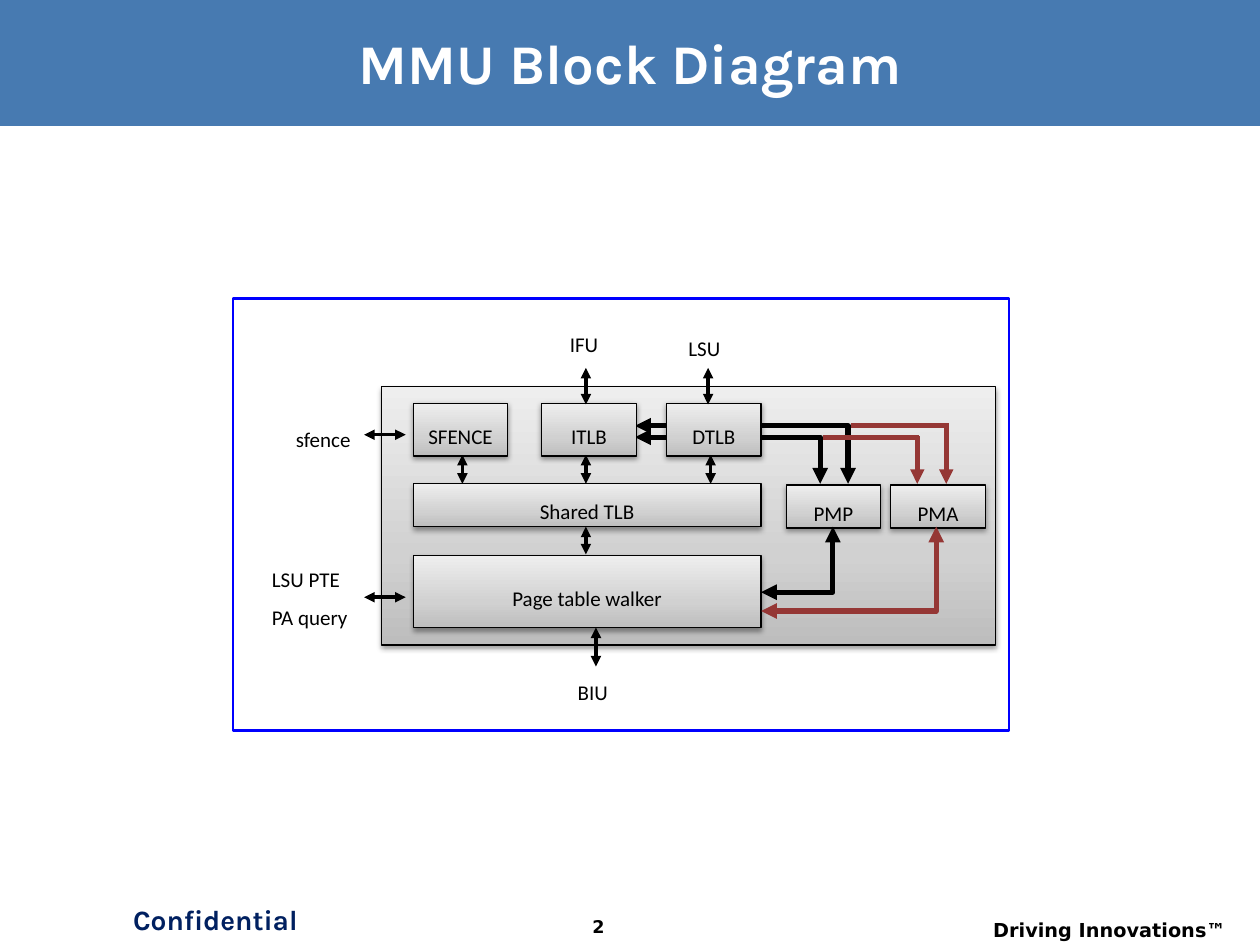
from typing import NamedTuple

import pptx
import pptx.dml.color
import pptx.enum.shapes
import pptx.enum.text
import pptx.oxml
import pptx.oxml.ns
import pptx.util

Inches, Pt = pptx.util.Inches, pptx.util.Pt
RGBColor = pptx.dml.color.RGBColor
SHAPE = pptx.enum.shapes.MSO_SHAPE
CONNECTOR = pptx.enum.shapes.MSO_CONNECTOR
ALIGN = pptx.enum.text.PP_ALIGN
ANCHOR = pptx.enum.text.MSO_ANCHOR
qn = pptx.oxml.ns.qn

BLACK = RGBColor(0x00, 0x00, 0x00)
WHITE = RGBColor(0xFF, 0xFF, 0xFF)
BANNER = RGBColor(0x47, 0x7A, 0xB1)
NAVY = RGBColor(0x00, 0x20, 0x60)
BLUE = RGBColor(0x00, 0x00, 0xFF)
RED = RGBColor(0x95, 0x37, 0x35)
GRADIENT = ((0, RGBColor(0xBD, 0xBD, 0xBD)), (35, RGBColor(0xD1, 0xD1, 0xD1)),
            (100, RGBColor(0xEE, 0xEE, 0xEE)))
NS = pptx.oxml.ns.nsdecls("a")


class Box(NamedTuple):
    text: str
    x: float
    y: float
    w: float
    h: float
    align: ALIGN = ALIGN.CENTER


class Line(NamedTuple):
    x1: float
    y1: float
    x2: float
    y2: float
    width: float = 2
    color: RGBColor = BLACK
    ends: tuple = ("headEnd", "tailEnd")
    bent: bool = False


UNIT_W, UNIT_H = 0.75, 0.42
WIDE_X, WIDE_W = 3.28, 2.76
CHECK_Y, CHECK_H = 3.85, 0.34

BLOCKS = [
    Box("SFENCE", WIDE_X, 3.2, UNIT_W, UNIT_H),
    Box("ITLB", 4.3, 3.2, UNIT_W, UNIT_H),
    Box("DTLB", 5.29, 3.2, UNIT_W, UNIT_H),
    Box("Shared TLB", WIDE_X, 3.84, WIDE_W, 0.34),
    Box("Page table walker", WIDE_X, 4.41, WIDE_W, 0.57),
    Box("PMP", 6.24, CHECK_Y, UNIT_W, CHECK_H),
    Box("PMA", 7.07, CHECK_Y, UNIT_W, CHECK_H),
]
LABELS = [
    Box("LSU", 5.23, 2.55, 0.72, 0.32),
    Box("IFU", 4.36, 2.55, 0.55, 0.27),
    Box("sfence", 2.25, 3.27, 0.7, 0.33, ALIGN.LEFT),
    Box("LSU PTE PA query", 2.06, 4.43, 0.89, 0.53, ALIGN.LEFT),
    Box("BIU", 4.36, 5.29, 0.69, 0.31),
]
# Buses that run behind the DTLB block.
TLB_BUSES = [
    Line(5.04, 3.38, 6.73, 3.84, 3, bent=True),
    Line(5.04, 3.47, 6.51, 3.84, 3, bent=True),
]
LINKS = [
    *[Line(2.89, y, 3.22, y) for y in (3.45, 4.74)],
    *[Line(x, 3.21, x, 2.92) for x in (4.65, 5.62)],
    *[Line(x, 3.84, x, 3.61) for x in (3.67, 4.65, 5.64)],
    Line(4.65, 4.4, 4.65, 4.18),
    Line(4.73, 5.29, 4.73, 4.98),
    Line(6.04, 4.7, 6.61, 4.18, 3, bent=True),
    Line(6.75, 3.38, 7.53, 3.38, 2.75, RED, ()),
    Line(6.53, 3.47, 7.29, 3.47, 2.75, RED, ()),
    *[Line(x, y, x, 3.84, 2.75, RED, ("tailEnd",)) for x, y in ((7.28, 3.46), (7.51, 3.38))],
    Line(6.04, 4.85, 7.43, 4.18, 3, RED, bent=True),
]


def shadow_effect(blur: float, dist: float, angle: int, alpha: int):
    return pptx.oxml.parse_xml(
        f'<a:effectLst {NS}><a:outerShdw blurRad="{Pt(blur)}" dist="{Pt(dist)}" '
        f'dir="{angle * 60000}" rotWithShape="0"><a:srgbClr val="{BLACK}">'
        f'<a:alpha val="{alpha * 1000}"/></a:srgbClr></a:outerShdw></a:effectLst>')


def write(tf, text: str, *, size: float = 12, font: str = "Calibri", color: RGBColor = BLACK,
          bold: bool = False, align: ALIGN = ALIGN.CENTER, anchor: ANCHOR = ANCHOR.MIDDLE,
          spacing: float = 1.0):
    tf.word_wrap = True
    tf.vertical_anchor = anchor
    p = tf.paragraphs[0]
    p.alignment = align
    p.line_spacing = spacing
    r = p.add_run()
    r.text = text
    r.font.size, r.font.name, r.font.bold = Pt(size), font, bold
    r.font.color.rgb = color
    return r


def add_text(slide, box: Box, **fmt) -> None:
    sp = slide.shapes.add_textbox(*map(Inches, box[1:5]))
    write(sp.text_frame, box.text, align=box.align, **fmt)


def add_rect(slide, x: float, y: float, w: float, h: float, *, fill=None, line=None,
             width: float = 0.75):
    sp = slide.shapes.add_shape(SHAPE.RECTANGLE, *map(Inches, (x, y, w, h)))
    sp.shadow.inherit = False
    if fill is None:
        sp.fill.background()
    else:
        sp.fill.solid()
        sp.fill.fore_color.rgb = fill
    if line is None:
        sp.line.fill.background()
    else:
        sp.line.color.rgb = line
        sp.line.width = Pt(width)
    return sp


def add_block(slide, box: Box) -> None:
    """Draw a grey gradient block with a soft shadow and an optional caption."""
    sp = add_rect(slide, *box[1:5], fill=WHITE, line=BLACK)
    spPr = sp._element.spPr
    stops = "".join(f'<a:gs pos="{pos * 1000}"><a:srgbClr val="{color}"/></a:gs>'
                    for pos, color in GRADIENT)
    grad = pptx.oxml.parse_xml(f'<a:gradFill {NS} rotWithShape="1"><a:gsLst>{stops}</a:gsLst>'
                               '<a:lin ang="16200000" scaled="1"/></a:gradFill>')
    spPr.replace(spPr.find(qn("a:solidFill")), grad)
    spPr.replace(spPr.find(qn("a:effectLst")), shadow_effect(3.1, 1.6, 90, 38))
    if box.text:
        write(sp.text_frame, box.text, spacing=1.5)


def add_line(slide, line: Line) -> None:
    kind = CONNECTOR.ELBOW if line.bent else CONNECTOR.STRAIGHT
    cn = slide.shapes.add_connector(kind, *map(Inches, line[:4]))
    cn.line.color.rgb = line.color
    cn.line.width = Pt(line.width)
    spPr = cn._element.spPr
    for end in line.ends:
        cn.line._get_or_add_ln().append(
            pptx.oxml.parse_xml(f'<a:{end} {NS} type="triangle"/>'))
    spPr.append(pptx.oxml.parse_xml(f"<a:effectLst {NS}/>"))
    if line.bent:  # turn at the far end: one horizontal and one vertical leg
        geom = spPr.find(qn("a:prstGeom"))
        geom.replace(geom.find(qn("a:avLst")), pptx.oxml.parse_xml(
            f'<a:avLst {NS}><a:gd name="adj1" fmla="val 100000"/></a:avLst>'))


def add_title(slide, text: str) -> None:
    sp = slide.shapes.title
    sp.left, sp.top, sp.width, sp.height = map(Inches, (0.35, 0.16, 9.31, 0.66))
    r = write(sp.text_frame, text, size=32, font="Karla", color=WHITE, bold=True)
    r.font._element.find(qn("a:solidFill")).addnext(shadow_effect(0, 3, 45, 100))


def main() -> None:
    prs = pptx.Presentation()
    prs.slide_width, prs.slide_height = Inches(10), Inches(7.5)
    slide = prs.slides.add_slide(prs.slide_layouts[5])

    banner = add_rect(slide, 0, 0, 10, 1, fill=BANNER)
    slide.shapes.title._element.addprevious(banner._element)
    add_title(slide, "MMU Block Diagram")

    add_text(slide, Box("Confidential", 0.89, 7.11, 1.64, 0.42), size=16, font="Karla",
             color=NAVY, bold=True, anchor=ANCHOR.TOP)
    add_text(slide, Box("Driving Innovations™", 7.46, 7.24, 2.37, 0.26, ALIGN.RIGHT), size=11,
             font="DejaVu Sans", bold=True, anchor=ANCHOR.TOP)
    add_text(slide, Box("2", 4.29, 7.22, 0.92, 0.28), size=10, font="DejaVu Sans", bold=True,
             anchor=ANCHOR.TOP)

    add_rect(slide, 1.85, 2.37, 6.16, 3.43, line=BLUE, width=1.5)
    add_block(slide, Box("", 3.03, 3.07, 4.87, 2.05))
    for bus in TLB_BUSES:
        add_line(slide, bus)
    for block in BLOCKS:
        add_block(slide, block)
    for label in LABELS:
        add_text(slide, label, spacing=1.5)
    for link in LINKS:
        add_line(slide, link)

    prs.save("out.pptx")


if __name__ == "__main__":
    main()
